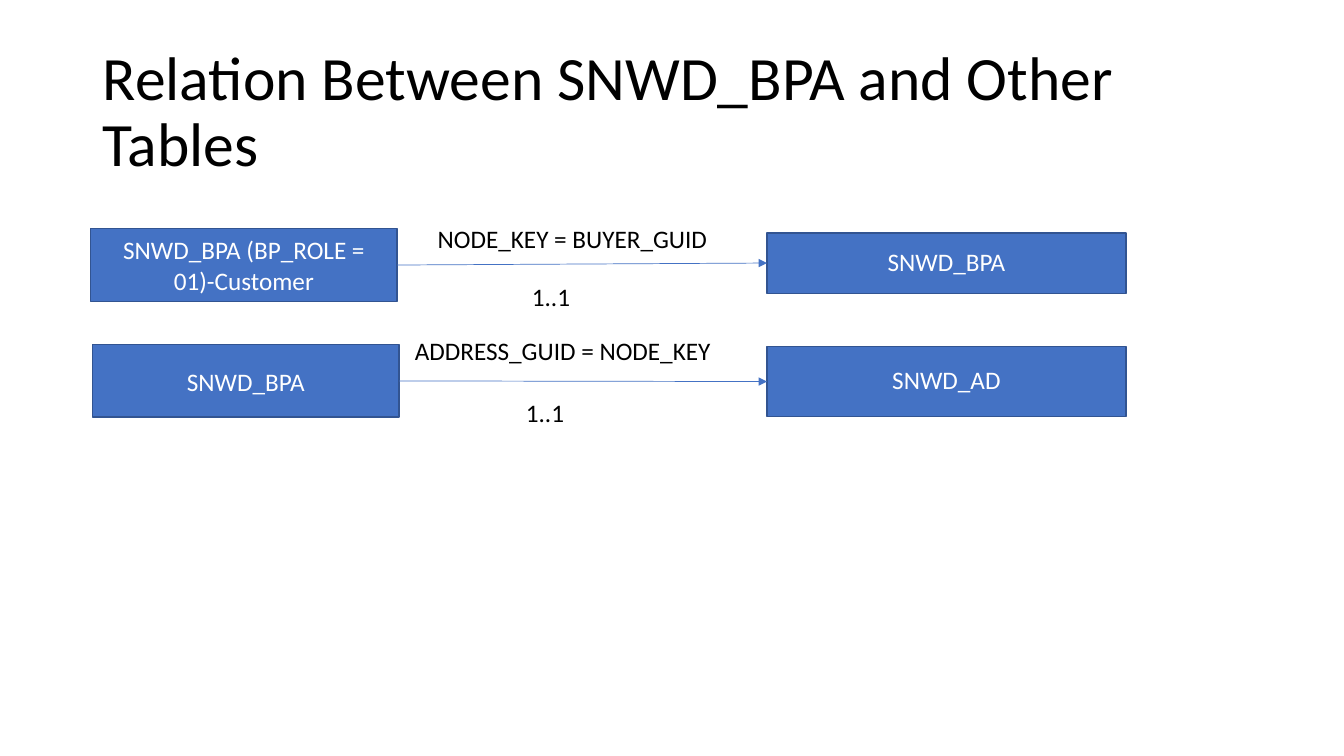
from dataclasses import dataclass

from lxml import etree
from pptx import Presentation
from pptx.dml.color import RGBColor
from pptx.enum.shapes import MSO_CONNECTOR, MSO_SHAPE
from pptx.enum.text import MSO_ANCHOR, MSO_AUTO_SIZE, PP_ALIGN
from pptx.oxml.ns import qn
from pptx.util import Pt

BLUE = RGBColor(0x44, 0x72, 0xC4)
DARK_BLUE = RGBColor(0x32, 0x54, 0x91)
BLACK = RGBColor(0, 0, 0)
WHITE = RGBColor(0xFF, 0xFF, 0xFF)
FONT = "Calibri"

RECTANGLE = MSO_SHAPE.RECTANGLE
STRAIGHT = MSO_CONNECTOR.STRAIGHT
LEFT, CENTER = PP_ALIGN.LEFT, PP_ALIGN.CENTER
TOP, MIDDLE = MSO_ANCHOR.TOP, MSO_ANCHOR.MIDDLE
NO_AUTOFIT = MSO_AUTO_SIZE.NONE

SOURCE_WIDTH, SOURCE_HEIGHT = 218.9, 51.8
TARGET_WIDTH = 256.3
LABEL_HEIGHT = 28.8
CARDINALITY_WIDTH, CARDINALITY_INDENT = 208.1, 65.4


@dataclass
class Relation:
    """Tables, labels and offsets within one relation row."""

    source: str
    target: str
    join: str
    cardinality: str
    source_top: float
    target_top: float
    target_height: float
    join_left: float
    join_width: float
    join_indent: float
    cardinality_left: float
    cardinality_top: float


RELATIONS = [
    ((64.8, 156.2, 739.4), Relation(
        "SNWD_BPA (BP_ROLE = 01)-Customer", "SNWD_BPA",
        "NODE_KEY = BUYER_GUID", "1..1",
        source_top=7.2, target_top=10.1, target_height=43.2,
        join_left=232.6, join_width=250.6, join_indent=8.1,
        cardinality_left=242.6, cardinality_top=41.1)),
    ((66.2, 236.2, 738), Relation(
        "SNWD_BPA", "SNWD_AD",
        "ADDRESS_GUID = NODE_KEY", "1..1",
        source_top=10, target_top=11.5, target_height=49.7,
        join_left=218.9, join_width=243.4, join_indent=4.1,
        cardinality_left=236.9, cardinality_top=43.9)),
]


def write_text(shape, text, size=18, color=BLACK, align=LEFT, anchor=TOP,
               line_spacing=1.0, space_before=0, indent=0):
    """Write one formatted, unbulleted paragraph into a shape."""
    frame = shape.text_frame
    frame.word_wrap = True
    frame.auto_size = NO_AUTOFIT
    frame.vertical_anchor = anchor
    paragraph = frame.paragraphs[0]
    paragraph.alignment = align
    paragraph.line_spacing = line_spacing
    paragraph.space_before = Pt(space_before)
    properties = paragraph._p.get_or_add_pPr()
    properties.set("marL", str(Pt(indent)))
    properties.set("indent", "0")
    etree.SubElement(properties, qn("a:buNone"))
    run = paragraph.add_run()
    run.text = text
    run.font.name = FONT
    run.font.size = Pt(size)
    run.font.color.rgb = color


def place(shape, box):
    """Move a shape to a box given in points."""
    shape.left, shape.top, shape.width, shape.height = map(Pt, box)


def add_title(slide, box, text):
    """Fill the title placeholder."""
    place(slide.shapes.title, box)
    write_text(slide.shapes.title, text, size=44, anchor=MIDDLE,
               line_spacing=0.9)


def add_table_box(slide, box, name, placeholder=None, **text_format):
    """Draw a blue box that names a database table."""
    table_box = placeholder or slide.shapes.add_shape(RECTANGLE, *map(Pt, box))
    place(table_box, box)
    table_box.shadow.inherit = False
    table_box.fill.solid()
    table_box.fill.fore_color.rgb = BLUE
    table_box.line.color.rgb = DARK_BLUE
    table_box.line.width = Pt(1)
    write_text(table_box, name, color=WHITE, align=CENTER, anchor=MIDDLE,
               **text_format)


def add_label(slide, box, text, indent):
    """Add a text label beside an arrow."""
    label = slide.shapes.add_textbox(*map(Pt, box))
    write_text(label, text, indent=indent)


def add_arrow(slide, start, end):
    """Draw a thin arrow between two points."""
    arrow = slide.shapes.add_connector(STRAIGHT, *map(Pt, start + end))
    arrow.line.color.rgb = BLUE
    arrow.line.width = Pt(0.5)
    properties = arrow._element.spPr
    etree.SubElement(properties.find(qn("a:ln")), qn("a:tailEnd"),
                     type="triangle")
    etree.SubElement(properties, qn("a:effectLst"))


def add_relation(slide, box, relation, placeholder=None):
    """Draw source table, arrow with labels, and target table."""
    left, top, width = box
    source_top = top + relation.source_top
    target_top = top + relation.target_top
    target_left = left + width - TARGET_WIDTH
    add_table_box(slide, (left, source_top, SOURCE_WIDTH, SOURCE_HEIGHT),
                  relation.source)
    add_table_box(slide, (target_left, target_top, TARGET_WIDTH,
                          relation.target_height),
                  relation.target, placeholder,
                  line_spacing=0.9, space_before=10)
    add_arrow(slide, (left + SOURCE_WIDTH, source_top + SOURCE_HEIGHT / 2),
              (target_left, target_top + relation.target_height / 2))
    add_label(slide, (left + relation.join_left, top, relation.join_width,
                      LABEL_HEIGHT),
              relation.join, relation.join_indent)
    add_label(slide, (left + relation.cardinality_left,
                      top + relation.cardinality_top,
                      CARDINALITY_WIDTH, LABEL_HEIGHT),
              relation.cardinality, CARDINALITY_INDENT)


def main():
    """Build and save the slide."""
    deck = Presentation()
    deck.slide_width, deck.slide_height = Pt(960), Pt(540)
    slide = deck.slides.add_slide(deck.slide_layouts[1])
    add_title(slide, (66.2, 28.8, 828, 104.4),
              "Relation Between SNWD_BPA and Other Tables")
    placeholders = [slide.placeholders[1], None]
    for (box, relation), placeholder in zip(RELATIONS, placeholders):
        add_relation(slide, box, relation, placeholder)
    deck.save("out.pptx")


if __name__ == "__main__":
    main()
